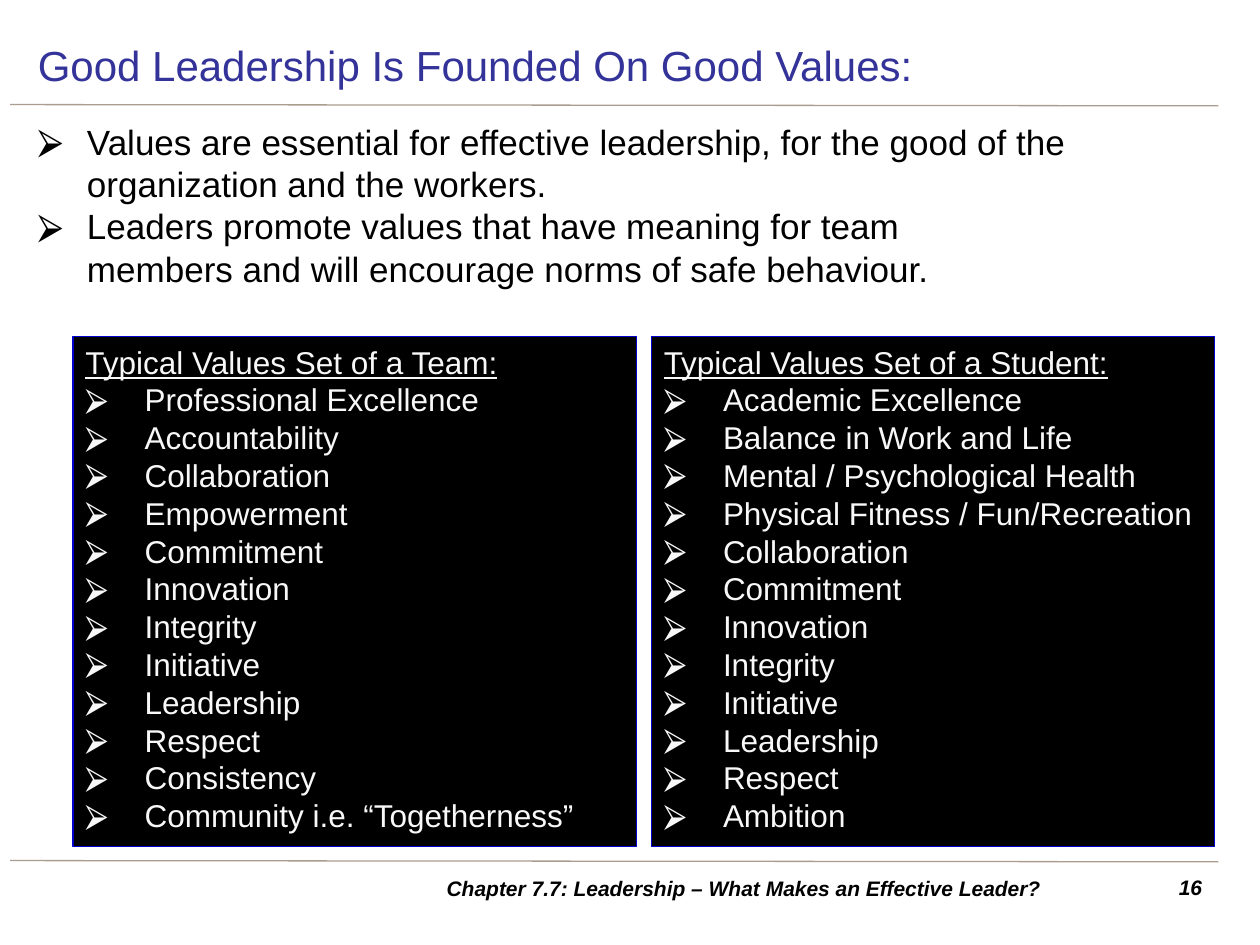
from lxml import etree
from pptx import Presentation
from pptx.dml.color import RGBColor
from pptx.enum import shapes, text
from pptx.oxml import ns
from pptx.util import Inches, Pt

COLORS = {"title": "333399", "ink": "000000", "paper": "FFFFFF",
          "light": "F8F8F8", "edge": "0000CC", "rule": "AA9C8F"}
BODY = {"size": Pt(20), "color": "ink"}
HEAD = {"size": Pt(24), "color": "title"}
FOOT = {"size": Pt(12), "color": "ink", "bold": True, "italic": True}
ITEM = {"size": Pt(18), "color": "light"}

POINTS = [
    "Values are essential for effective leadership, for the good of the "
    "organization and the workers.",
    "Leaders promote values that have meaning for team \v"
    "members and will encourage norms of safe behaviour.",
]
TEAM = ["Professional Excellence", "Accountability", "Collaboration",
        "Empowerment", "Commitment", "Innovation", "Integrity", "Initiative",
        "Leadership", "Respect", "Consistency",
        "Community i.e. “Togetherness”"]
STUDENT = ["Academic Excellence", "Balance in Work and Life",
           "Mental / Psychological Health",
           "Physical Fitness / Fun/Recreation", "Collaboration", "Commitment",
           "Innovation", "Integrity", "Initiative", "Leadership", "Respect",
           "Ambition"]


def rgb(name):
    return RGBColor.from_string(COLORS[name])


def place(shape, box):
    for name, size in zip(("left", "top", "width", "height"), box):
        setattr(shape, name, Inches(size))


def bullet(para, indent, color):
    """Give a paragraph an arrow bullet with a hanging indent."""
    props = para._p.get_or_add_pPr()
    props.set("marL", str(Inches(indent)))
    props.set("indent", str(-Inches(indent)))
    tint = etree.SubElement(props, ns.qn("a:buClr"))
    etree.SubElement(tint, ns.qn("a:srgbClr"), val=COLORS[color])
    etree.SubElement(props, ns.qn("a:buFont"), typeface="Arial")
    etree.SubElement(props, ns.qn("a:buChar"), char="⮚")


def write(shape, lines, form, align="LEFT", anchor="TOP", indent=0, plain=0):
    """Fill a shape with lines; those after the first `plain` get bullets."""
    frame = shape.text_frame
    frame.word_wrap = True
    frame.auto_size = text.MSO_AUTO_SIZE.NONE
    frame.vertical_anchor = getattr(text.MSO_ANCHOR, anchor)
    for i, line in enumerate(lines):
        para = frame.add_paragraph() if i else frame.paragraphs[0]
        para.text = line
        para.alignment = getattr(text.PP_ALIGN, align)
        para.space_before = Pt(0)
        if indent and i >= plain:
            bullet(para, indent, form["color"])
        for run in para.runs:
            run.font.name = "Arial"
            for name, value in form.items():
                if name == "color":
                    run.font.color.rgb = rgb(value)
                else:
                    setattr(run.font, name, value)


def rule(slide, x, y, width):
    line = slide.shapes.add_connector(
        shapes.MSO_CONNECTOR.STRAIGHT,
        Inches(x), Inches(y), Inches(x + width), Inches(y + 0.01))
    line.line.color.rgb = rgb("rule")
    line.line.width = Pt(0.75)
    etree.SubElement(line._element.spPr, ns.qn("a:effectLst"))


def header(slide, box):
    title = slide.shapes.title
    place(title, box)
    title.fill.solid()
    title.fill.fore_color.rgb = rgb("paper")
    tint = title._element.spPr.find(".//" + ns.qn("a:srgbClr"))
    etree.SubElement(tint, ns.qn("a:alpha"), val="69000")
    write(title, ["Good Leadership Is Founded On Good Values:"], HEAD,
          anchor="MIDDLE")


def body(slide, box):
    holder = slide.placeholders[1]
    place(holder, box)
    write(holder, POINTS, BODY, indent=0.39)


def panel(slide, box, head, items):
    card = slide.shapes.add_shape(shapes.MSO_SHAPE.RECTANGLE,
                                  *map(Inches, box))
    card.shadow.inherit = False
    card.fill.solid()
    card.fill.fore_color.rgb = rgb("ink")
    card.line.color.rgb = rgb("edge")
    card.line.width = Pt(0.75)
    write(card, [head, *items], ITEM, indent=0.47, plain=1)
    card.text_frame.paragraphs[0].runs[0].font.underline = True


def footer(slide, box):
    x, y, width, height = box
    parts = [
        (0, 5.91, "CENTER", "MIDDLE",
         "Chapter 7.7: Leadership – What Makes an Effective Leader?"),
        (width - 0.58, 0.58, "RIGHT", "TOP", "16"),
    ]
    for dx, w, align, anchor, words in parts:
        note = slide.shapes.add_textbox(
            *map(Inches, (x + dx, y, w, height)))
        write(note, [words], FOOT, align, anchor)


def main():
    deck = Presentation()
    deck.slide_width, deck.slide_height = Inches(10), Inches(7.5)
    slide = deck.slides.add_slide(deck.slide_layouts[1])
    for y in (0.83, 6.83):
        rule(slide, 0.08, y, 9.59)
    header(slide, (0.2, 0.24, 9.45, 0.55))
    body(slide, (0.2, 0.91, 9.45, 5.83))
    sets = [("Team", TEAM), ("Student", STUDENT)]
    for i, (who, items) in enumerate(sets):
        panel(slide, (0.58 + i * 4.59, 2.67, 4.47, 4.05),
              f"Typical Values Set of a {who}:", items)
    footer(slide, (2.95, 6.89, 6.69, 0.31))
    deck.save("out.pptx")


if __name__ == "__main__":
    main()
